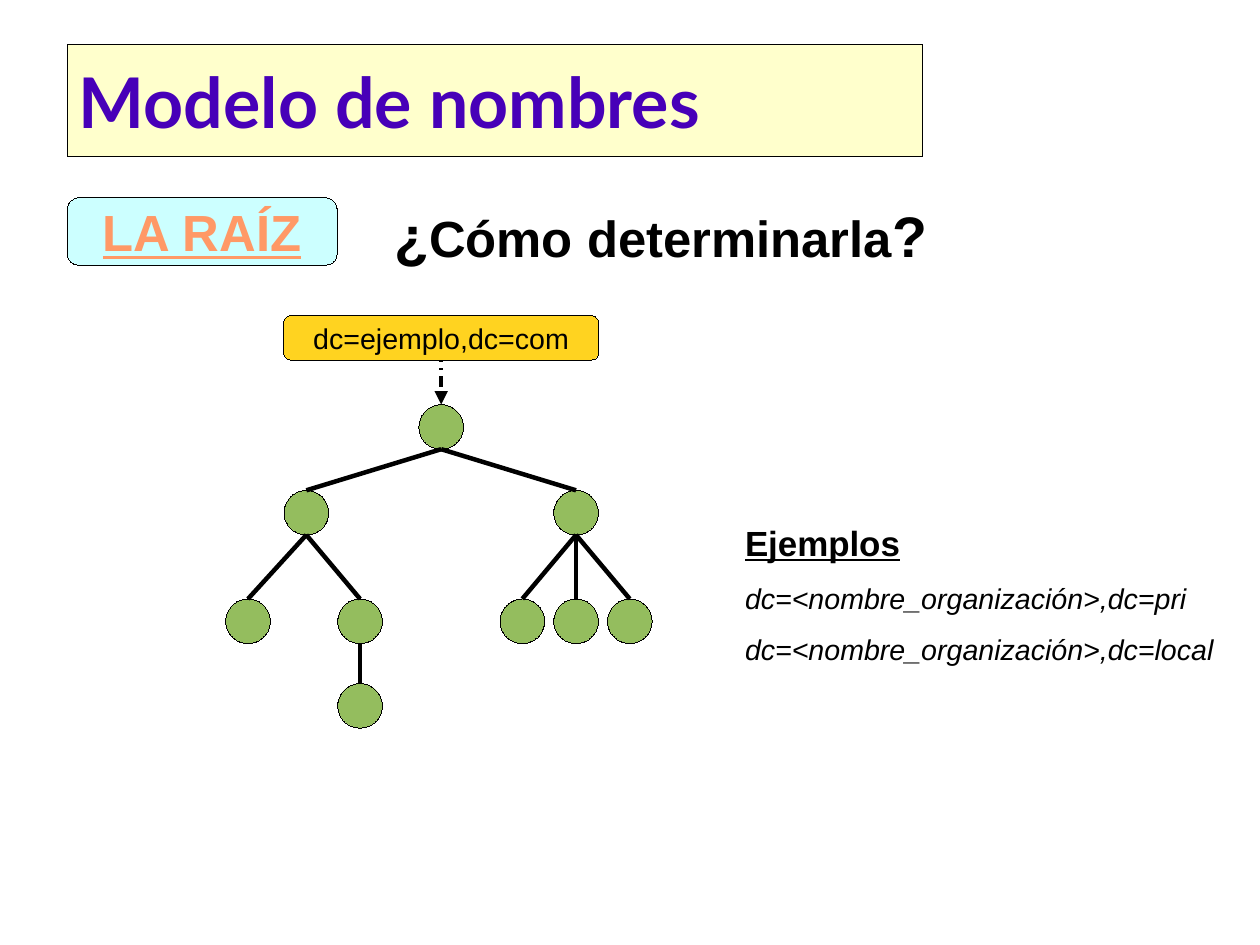
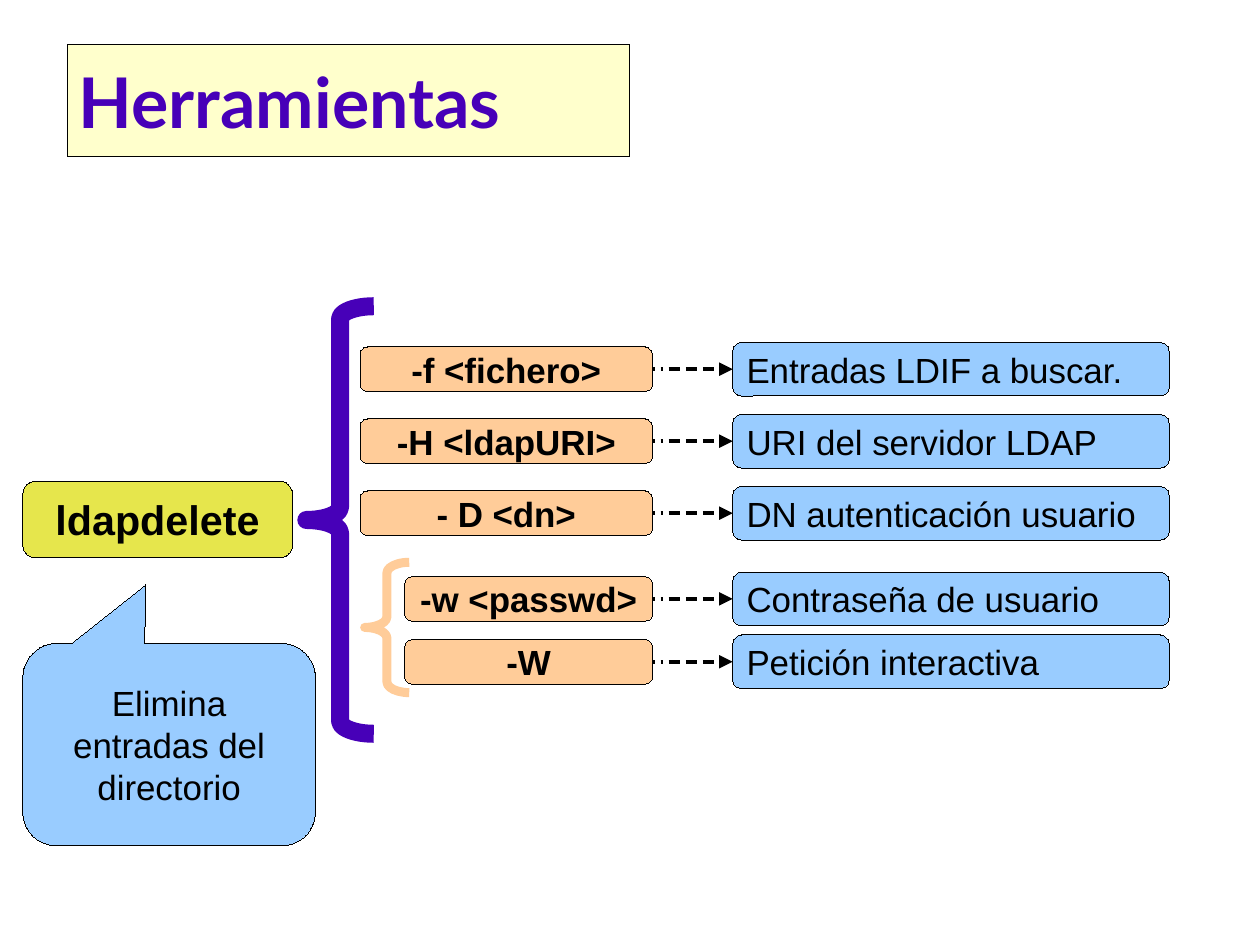
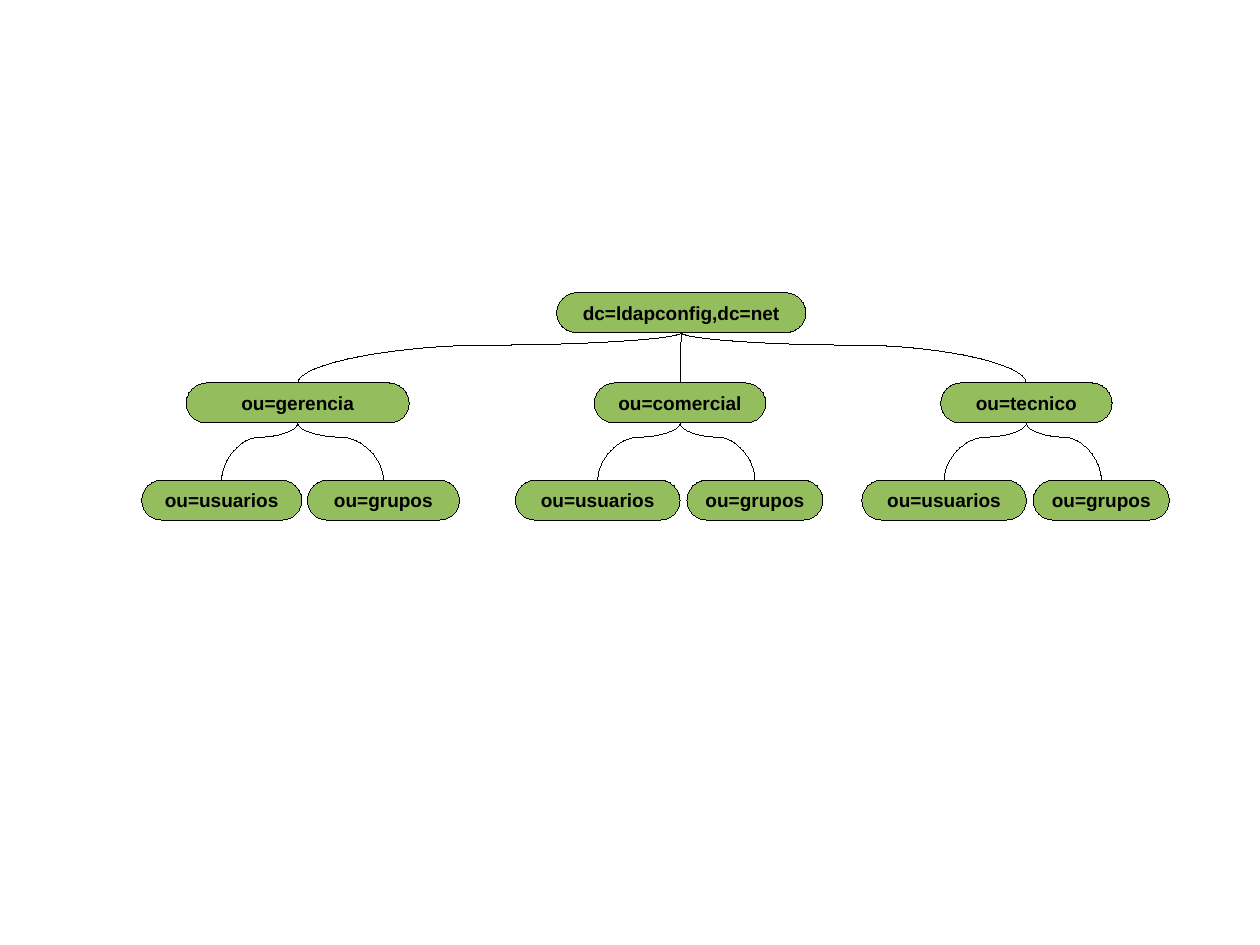
from lxml.etree import SubElement
from pptx import Presentation
from pptx.dml.color import RGBColor
from pptx.enum.shapes import MSO_CONNECTOR, MSO_SHAPE
from pptx.enum.text import MSO_ANCHOR, MSO_AUTO_SIZE, PP_ALIGN
from pptx.oxml.ns import qn
from pptx.util import Inches, Pt

BLACK = RGBColor(0x00, 0x00, 0x00)
VIOLET = RGBColor(0x47, 0x00, 0xB8)
CREAM = RGBColor(0xFF, 0xFF, 0xCC)
GREEN = RGBColor(0x94, 0xBD, 0x5E)
GOLD = RGBColor(0xFF, 0xD3, 0x20)
CYAN = RGBColor(0xCC, 0xFF, 0xFF)
CORAL = RGBColor(0xFF, 0x99, 0x66)
LIME = RGBColor(0xE6, 0xE6, 0x4C)
PEACH = RGBColor(0xFF, 0xCC, 0x99)
BLUE = RGBColor(0x99, 0xCC, 0xFF)

CM_PER_INCH = 2.54
PAGE_WIDTH, PAGE_HEIGHT = 28 / CM_PER_INCH, 21 / CM_PER_INCH
TITLE_ONLY, BLANK = 5, 6
HAIRLINE, THICK = 0.01, 2.83
DOT, DASH, GAP = 51000, 254000, 127000
ROUNDING = 0.167

NODE_SIZE = 0.39
NODES = {
    "root": (3.86, 3.54, None),
    "left": (2.68, 4.29, "root"),
    "right": (5.04, 4.29, "root"),
    "left a": (2.17, 5.24, "left"),
    "left b": (3.15, 5.24, "left"),
    "right a": (4.57, 5.24, "right"),
    "right b": (5.04, 5.24, "right"),
    "right c": (5.51, 5.24, "right"),
    "leaf": (3.15, 5.98, "left b"),
}
QUESTION = [("¿", 36), ("Cómo determinarla", 32), ("?", 36)]
EXAMPLES = [
    ("Ejemplos", dict(size=22, bold=True, underline=True)),
    ("dc=<nombre_organización>,dc=pri", dict(size=18, italic=True)),
    ("dc=<nombre_organización>,dc=local", dict(size=18, italic=True)),
]

OPTION_RIGHT, OPTION_HEIGHT = 5.71, 0.39
MEANING_LEFT, MEANING_WIDTH, MEANING_HEIGHT = 6.41, 3.82, 0.47
OPTIONS = [
    (3.23, 2.56, "-f <fichero>", "Entradas LDIF a buscar."),
    (3.86, 2.56, "-H <ldapURI>", "URI del servidor LDAP"),
    (4.49, 2.56, "- D <dn>", "DN autenticación usuario"),
    (5.24, 2.17, "-w <passwd>", "Contraseña de usuario"),
    (5.79, 2.17, "-W", "Petición interactiva"),
]
BRACES = [
    (2.68, 2.68, 0.59, 3.74, 0.19, VIOLET, 11.34),
    (3.19, 4.92, 0.39, 1.14, 0.24, PEACH, 5.67),
]

UNIT_HEIGHT = 0.35
ROOT_TOP, UNIT_TOP, MEMBER_TOP = 2.56, 3.35, 4.2
DOMAIN = (4.87, 2.18, "dc=ldapconfig,dc=net")
UNITS = [
    ((1.63, 1.95, "ou=gerencia"), [(1.24, 1.4, "ou=usuarios"), (2.69, 1.33, "ou=grupos")]),
    ((5.2, 1.5, "ou=comercial"), [(4.51, 1.44, "ou=usuarios"), (6.01, 1.19, "ou=grupos")]),
    ((8.23, 1.5, "ou=tecnico"), [(7.54, 1.44, "ou=usuarios"), (9.04, 1.19, "ou=grupos")]),
]


def write(para, text, *, size, font="Arial", color=BLACK, bold=False, italic=False,
          underline=False, align=PP_ALIGN.LEFT, spacing=None):
    para.alignment = align
    if spacing:
        para.line_spacing = spacing
    span = para.add_run()
    span.text = text
    span.font.name = font
    span.font.size = Pt(size)
    span.font.color.rgb = color
    span.font.bold = bold
    span.font.italic = italic
    span.font.underline = underline


def paint(shape, fill):
    shape.fill.solid()
    shape.fill.fore_color.rgb = fill
    shape.line.color.rgb = BLACK
    shape.line.width = Pt(HAIRLINE)


def add_box(page, kind, left, top, width, height, fill, text=None, adjust=(), **style):
    box = page.shapes.add_shape(kind, Inches(left), Inches(top), Inches(width), Inches(height))
    box.shadow.inherit = False
    for index, value in enumerate(adjust):
        box.adjustments[index] = value
    paint(box, fill)
    box.text_frame.word_wrap = True
    box.text_frame.vertical_anchor = MSO_ANCHOR.MIDDLE
    if text:
        write(box.text_frame.paragraphs[0], text, **{"align": PP_ALIGN.CENTER, **style})
    return box


def add_rounded(page, *place, adjust=(ROUNDING,), **style):
    return add_box(page, MSO_SHAPE.ROUNDED_RECTANGLE, *place, adjust=adjust, **style)


def add_text_box(page, left, top, width, height):
    box = page.shapes.add_textbox(Inches(left), Inches(top), Inches(width), Inches(height))
    box.text_frame.word_wrap = True
    box.text_frame.auto_size = MSO_AUTO_SIZE.SHAPE_TO_FIT_TEXT
    return box.text_frame


def add_line(page, start, end, kind=MSO_CONNECTOR.STRAIGHT, width=THICK):
    line = page.shapes.add_connector(kind, *map(Inches, (*start, *end)))
    line.line.color.rgb = BLACK
    line.line.width = Pt(width)
    SubElement(line._element.spPr, qn("a:effectLst"))
    return line


def add_dashed_arrow(page, source, source_site, target, target_site):
    arrow = add_line(page, (0, 0), (1, 1))
    arrow.begin_connect(source, source_site)
    arrow.end_connect(target, target_site)
    outline = arrow.line._get_or_add_ln()
    dashes = SubElement(outline, qn("a:custDash"))
    for length in (DOT, DOT, DASH, DASH, DASH):
        SubElement(dashes, qn("a:ds"), d=str(length), sp=str(GAP))
    SubElement(outline, qn("a:tailEnd"), type="triangle")


def add_branch(page, start, end):
    (x1, y1), (x2, y2) = start, end
    middle_x, middle_y = (x1 + x2) / 2, (y1 + y2) / 2
    half_drop, half_run = (y2 - y1) / 2, abs(x2 - x1) / 2
    rightward = x2 > x1
    reach = -half_drop if rightward else half_drop
    branch = add_line(page, (middle_x - reach, middle_y - half_run),
                      (middle_x + reach, middle_y + half_run),
                      kind=MSO_CONNECTOR.CURVE, width=HAIRLINE)
    properties = branch._element.spPr
    properties.find(qn("a:xfrm")).set("rot", str((270 if rightward else 90) * 60000))
    guides = properties.find(qn("a:prstGeom")).find(qn("a:avLst"))
    SubElement(guides, qn("a:gd"), name="adj1", fmla="val 25000")


def add_titled_page(deck, text, width):
    page = deck.slides.add_slide(deck.slide_layouts[TITLE_ONLY])
    title = page.shapes.title
    title.left, title.top, title.width, title.height = map(Inches, (0.59, 0.39, width, 0.98))
    paint(title, CREAM)
    title.text_frame.auto_size = MSO_AUTO_SIZE.NONE
    title.text_frame.vertical_anchor = MSO_ANCHOR.MIDDLE
    write(title.text_frame.paragraphs[0], text, size=44, font="Lato", color=VIOLET, bold=True)
    return page


def build_names(deck):
    page = add_titled_page(deck, "Modelo de nombres", 7.48)
    circles = {}
    for name, (center, top, parent) in NODES.items():
        circles[name] = add_box(page, MSO_SHAPE.OVAL, center - NODE_SIZE / 2, top,
                                NODE_SIZE, NODE_SIZE, GREEN)
        if parent:
            parent_center, parent_top, _ = NODES[parent]
            edge = add_line(page, (parent_center, parent_top + NODE_SIZE), (center, top))
            edge.end_connect(circles[name], 0)
    suffix = add_rounded(page, 2.48, 2.76, 2.76, 0.39, GOLD, text="dc=ejemplo,dc=com", size=18)
    add_dashed_arrow(page, suffix, 2, circles["root"], 0)
    add_rounded(page, 0.59, 1.73, 2.36, 0.59, CYAN, text="LA RAÍZ", size=32,
                color=CORAL, bold=True, underline=True)
    question = add_text_box(page, 3.35, 1.7, 4.92, 0.66).paragraphs[0]
    for text, size in QUESTION:
        write(question, text, size=size, bold=True)
    examples = add_text_box(page, 6.42, 4.33, 4.33, 1.45)
    for index, (text, style) in enumerate(EXAMPLES):
        para = examples.add_paragraph() if index else examples.paragraphs[0]
        write(para, text, spacing=1.5, **style)


def build_tools(deck):
    page = add_titled_page(deck, "Herramientas", 4.92)
    add_rounded(page, 0.2, 4.21, 2.36, 0.67, LIME, text="ldapdelete", size=26, bold=True)
    for left, top, width, height, curl, color, weight in BRACES:
        brace = page.shapes.add_shape(MSO_SHAPE.LEFT_BRACE, Inches(left), Inches(top),
                                      Inches(width), Inches(height))
        brace.shadow.inherit = False
        brace.adjustments[0] = curl
        brace.fill.background()
        brace.line.color.rgb = color
        brace.line.width = Pt(weight)
    for middle, width, flag, meaning in OPTIONS:
        option = add_rounded(page, OPTION_RIGHT - width, middle - OPTION_HEIGHT / 2, width,
                             OPTION_HEIGHT, PEACH, text=flag, size=22, bold=True)
        detail = add_rounded(page, MEANING_LEFT, middle - MEANING_HEIGHT / 2, MEANING_WIDTH,
                             MEANING_HEIGHT, BLUE, text=meaning, size=22, align=PP_ALIGN.LEFT)
        add_dashed_arrow(page, option, 3, detail, 1)
    add_box(page, MSO_SHAPE.ROUNDED_RECTANGULAR_CALLOUT, 0.2, 5.63, 2.56, 1.77, BLUE,
            text="Elimina entradas del directorio", adjust=(-0.08, -0.79, ROUNDING), size=22)


def build_directory(deck):
    page = deck.slides.add_slide(deck.slide_layouts[BLANK])

    def add_unit(unit, top, parent=None):
        left, width, text = unit
        add_rounded(page, left, top, width, UNIT_HEIGHT, GREEN, text=text, adjust=(0.5,),
                    size=12, bold=True)
        center = left + width / 2
        if parent:
            add_branch(page, parent, (center, top))
        return center, top + UNIT_HEIGHT

    root = add_unit(DOMAIN, ROOT_TOP)
    for unit, members in UNITS:
        branch = add_unit(unit, UNIT_TOP, root)
        for member in members:
            add_unit(member, MEMBER_TOP, branch)


def main():
    deck = Presentation()
    deck.slide_width, deck.slide_height = Inches(PAGE_WIDTH), Inches(PAGE_HEIGHT)
    build_names(deck)
    build_tools(deck)
    build_directory(deck)
    deck.save("out.pptx")


if __name__ == "__main__":
    main()
